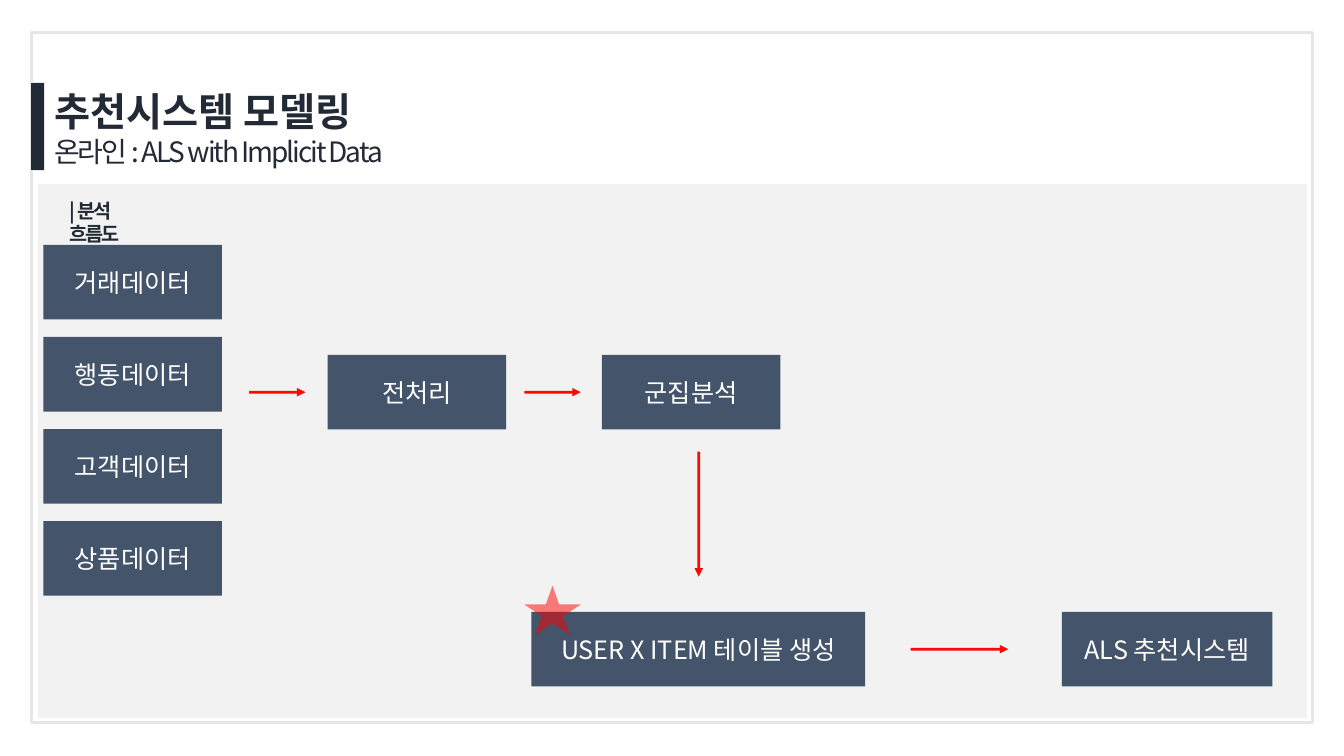
from dataclasses import dataclass

from lxml.etree import SubElement
from pptx import Presentation
from pptx.dml.color import RGBColor
from pptx.enum.shapes import MSO_CONNECTOR as Connector, MSO_SHAPE as Shape
from pptx.enum.text import MSO_ANCHOR as Anchor, PP_ALIGN as Align
from pptx.oxml.ns import qn
from pptx.util import Inches, Pt


@dataclass(frozen=True)
class Theme:
    """Colours, font and type sizes of the slide."""
    font: str = "Noto Sans CJK KR"
    ink: str = "222A35"
    node: str = "44546A"
    panel: str = "F2F2F2"
    border: str = "E7E6E6"
    white: str = "FFFFFF"
    accent: str = "FF0000"
    title: int = 28
    subtitle: int = 20
    body: int = 18
    label: int = 14
    tight: float = -1.5


THEME = Theme()
WIDTH, HEIGHT = Inches(13.33), Inches(7.5)
COLUMN, ROW = WIDTH / 100, HEIGHT / 100
NODE_WIDTH, NODE_HEIGHT = 13.28, 9.87


@dataclass(frozen=True)
class Box:
    """An area in columns and rows of a grid of 100 by 100."""
    left: float
    top: float
    width: float
    height: float

    def inner(self, left, top, width, height):
        """Return a box placed relative to this one."""
        return Box(self.left + left, self.top + top, width, height)

    def point(self, column, row):
        """Return a slide position relative to this box."""
        return round((self.left + column) * COLUMN), round((self.top + row) * ROW)

    def lengths(self):
        """Return left, top, width and height as slide lengths."""
        return (*self.point(0, 0), round(self.width * COLUMN), round(self.height * ROW))


def set_alpha(fill_parent, percent):
    """Make the solid fill inside an element partly transparent."""
    color = next(fill_parent.iter(qn("a:srgbClr")))
    SubElement(color, qn("a:alpha")).set("val", str(percent * 1000))


def add_text(frame, text, size=THEME.body, color=THEME.white, bold=False,
             align=Align.LEFT, spacing=0, first=True):
    """Write one formatted paragraph into a text frame."""
    para = frame.paragraphs[0] if first else frame.add_paragraph()
    para.alignment = align
    span = para.add_run()
    span.text = text
    span.font.size, span.font.bold = Pt(size), bold
    span.font.color.rgb = RGBColor.from_string(color)
    span.font.name = THEME.font
    properties = span.font._element
    SubElement(properties, qn("a:ea")).set("typeface", THEME.font)
    if spacing:
        properties.set("spc", str(round(spacing * 100)))


def add_block(page, box, kind=Shape.RECTANGLE, fill=None, line=None, weight=1):
    """Add a preset shape with plain fill and line."""
    shape = page.shapes.add_shape(kind, *box.lengths())
    shape.shadow.inherit = False
    if fill:
        shape.fill.solid()
        shape.fill.fore_color.rgb = RGBColor.from_string(fill)
    else:
        shape.fill.background()
    if line:
        shape.line.color.rgb = RGBColor.from_string(line)
        shape.line.width = Pt(weight)
    else:
        shape.line.fill.background()
    return shape


def add_text_box(page, box):
    """Add a wrapping text box and return its frame."""
    frame = page.shapes.add_textbox(*box.lengths()).text_frame
    frame.word_wrap = True
    return frame


def add_node(page, box, text):
    """Add one step of the flow."""
    frame = add_block(page, box, fill=THEME.node).text_frame
    frame.word_wrap = True
    frame.vertical_anchor = Anchor.MIDDLE
    add_text(frame, text, align=Align.CENTER)


def add_arrow(page, start, end):
    """Add a straight arrow between two slide positions."""
    arrow = page.shapes.add_connector(Connector.STRAIGHT, *start, *end)
    arrow.line.color.rgb = RGBColor.from_string(THEME.accent)
    arrow.line.width = Pt(2)
    properties = arrow._element.spPr
    set_alpha(properties, 97)
    SubElement(properties.find(qn("a:ln")), qn("a:tailEnd")).set("type", "triangle")
    SubElement(properties, qn("a:effectLst"))


def draw_background(page, frame, panel):
    """Draw the outer frame and the grey panel."""
    add_block(page, frame, line=THEME.border, weight=2.25)
    area = add_block(page, panel, Shape.ROUNDED_RECTANGLE, THEME.panel, THEME.white)
    area.adjustments[0] = 0


def draw_sources(page, box):
    """Stack the data sources evenly from top to bottom."""
    names = ("거래데이터", "행동데이터", "고객데이터", "상품데이터")
    pitch = (box.height - NODE_HEIGHT) / (len(names) - 1)
    for index, name in enumerate(names):
        add_node(page, box.inner(0, index * pitch, box.width, NODE_HEIGHT), name)


def draw_flow(page, box):
    """Draw the analysis flow inside the panel."""
    upper, lower = 22.67, 56.67
    upper_middle, lower_middle = upper + NODE_HEIGHT / 2, lower + NODE_HEIGHT / 2
    draw_sources(page, box.inner(0.45, 8.13, NODE_WIDTH, 46.41))
    for left, top, width, text in (
        (21.6, upper, NODE_WIDTH, "전처리"),
        (42.01, upper, NODE_WIDTH, "군집분석"),
        (36.76, lower, 24.83, "USER X ITEM 테이블 생성"),
        (76.22, lower, 15.68, "ALS 추천시스템"),
    ):
        add_node(page, box.inner(left, top, width, NODE_HEIGHT), text)
    for start, end in (
        ((15.75, upper_middle), (19.95, upper_middle)),
        ((36.23, upper_middle), (40.43, upper_middle)),
        ((49.21, 35.47), (49.21, 52)),
        ((64.97, lower_middle), (72.24, lower_middle)),
    ):
        add_arrow(page, box.point(*start), box.point(*end))
    star = add_block(page, box.inner(36.23, 53.2, 4.2, 6.53),
                     Shape.STAR_5_POINT, THEME.accent)
    set_alpha(star._element.spPr, 50)
    label = add_text_box(page, box.inner(1.65, 1.33, 8.33, 4.53))
    add_text(label, "| 분석 흐름도", size=THEME.label, color=THEME.ink, bold=True,
             spacing=THEME.tight)


def draw_header(page, box):
    """Draw the marker bar with the title and subtitle beside it."""
    bar = 1.05
    add_block(page, box.inner(0, 0, bar, 11.6), fill=THEME.ink, line=THEME.border)
    frame = add_text_box(page, box.inner(bar, 0, box.width - bar, box.height))
    add_text(frame, "추천시스템 모델링", size=THEME.title, color=THEME.ink, bold=True)
    add_text(frame, "온라인 : ALS with Implicit Data", size=THEME.subtitle,
             color=THEME.ink, spacing=THEME.tight, first=False)


def main():
    """Build the slide and save the deck."""
    deck = Presentation()
    deck.slide_width, deck.slide_height = WIDTH, HEIGHT
    page = deck.slides.add_slide(deck.slide_layouts[6])
    panel = Box(2.78, 24.27, 94.52, 70.8)
    draw_background(page, Box(2.33, 4.27, 95.35, 91.33), panel)
    draw_flow(page, panel)
    draw_header(page, Box(2.25, 10.93, 33.46, 12.13))
    deck.save("out.pptx")


if __name__ == "__main__":
    main()
